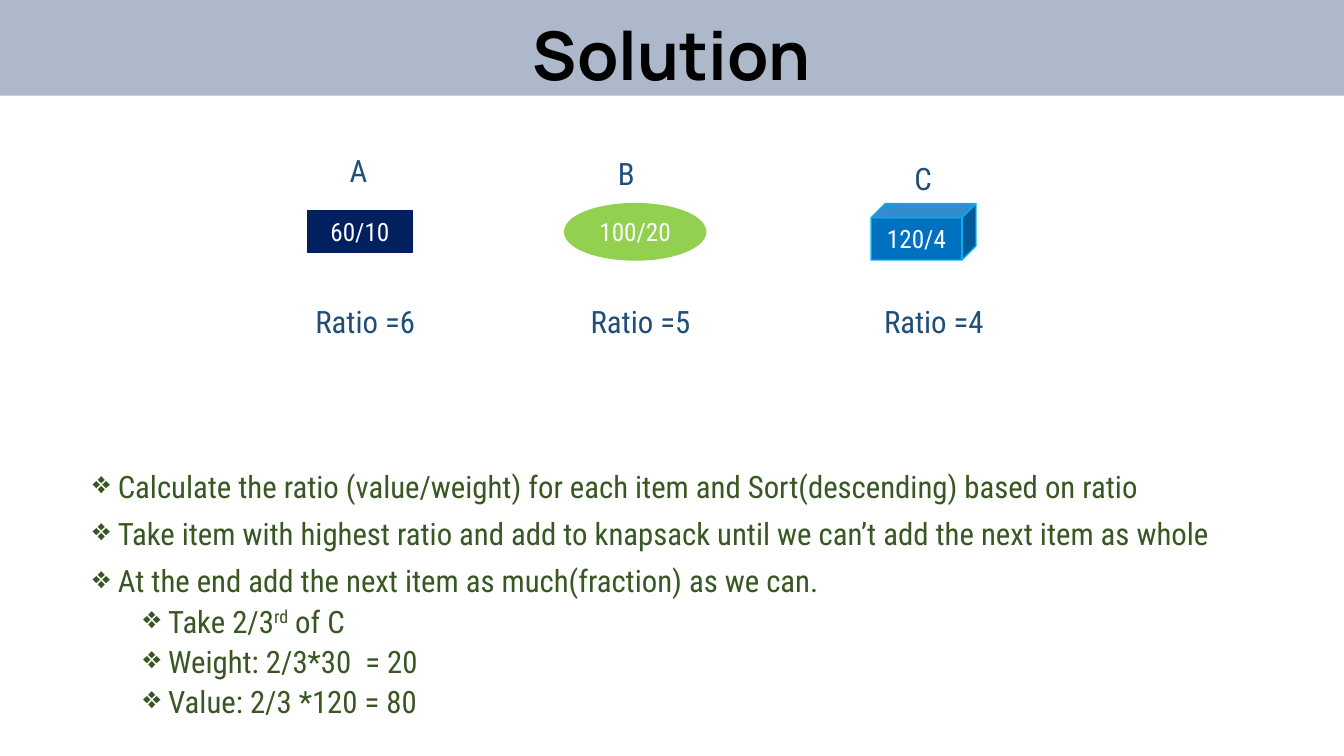
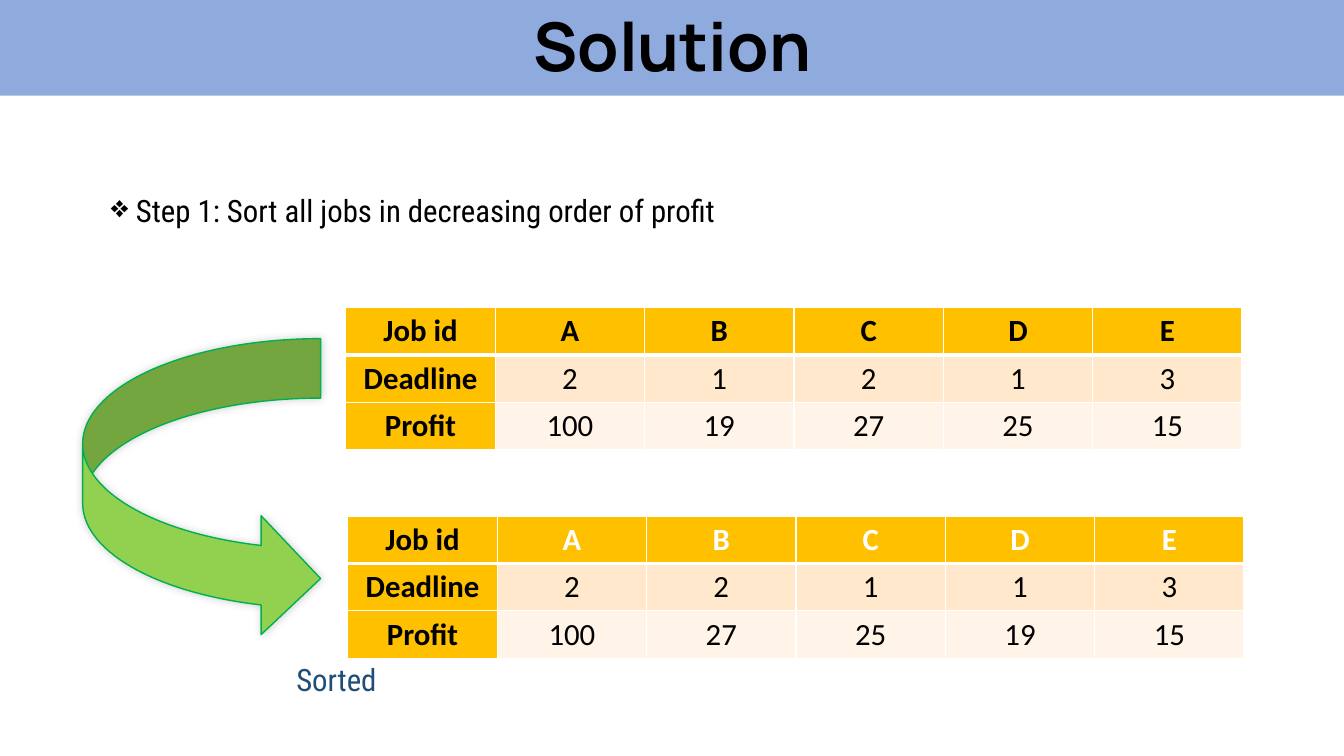
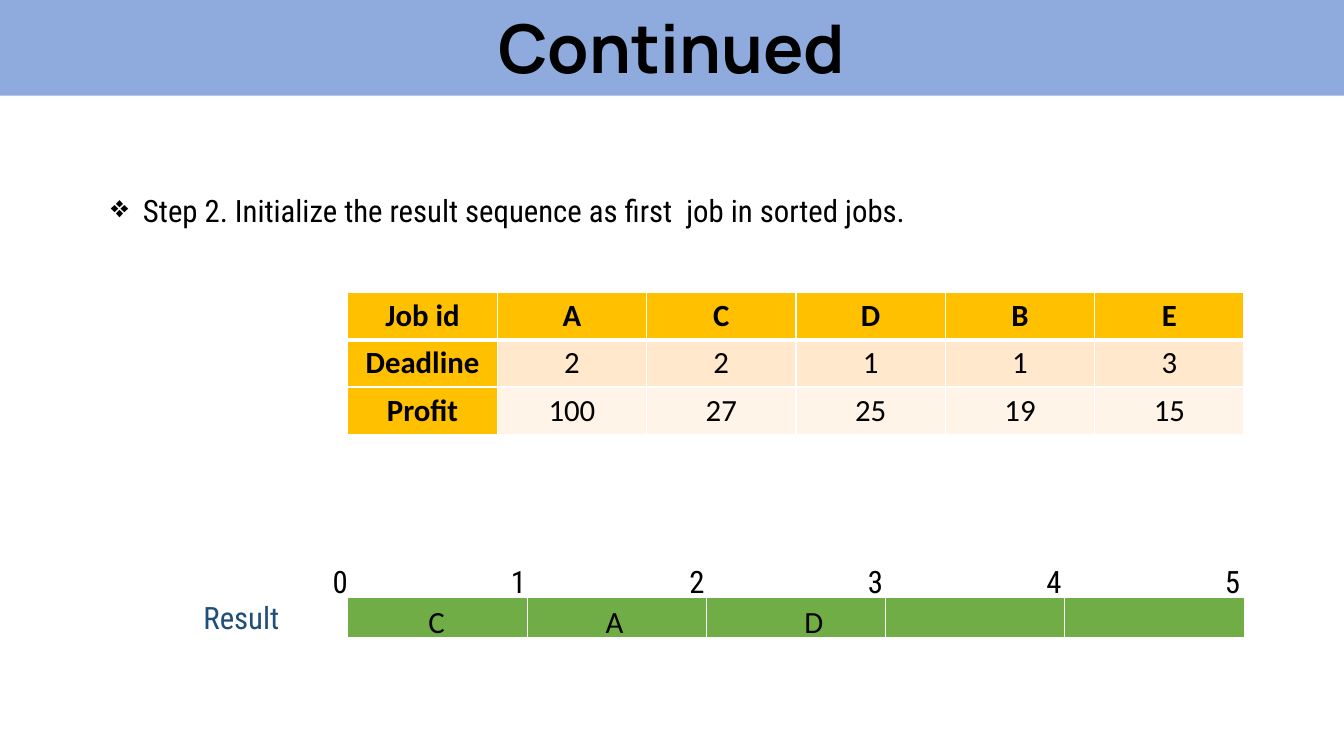
from lxml import etree
from pptx import Presentation
from pptx import util as u
from pptx.dml import color
from pptx.enum import shapes, text
from pptx.oxml import ns

PX = 9144
BAND = (0, -3, 1333, 98)
NAVY_TEXT, DARK_GREEN, BLACK, WHITE = "1F4E79", "385723", "000000", "FFFFFF"
GOLD, PEACH, CREAM, GREEN = "FFC000", "FFE8CC", "FFF4E7", "70AD47"
TITLE = {"name": "Manrope", "size": 48, "bold": True, "color": BLACK}
BODY = {"name": "Roboto Condensed", "size": 22, "bold": False, "color": BLACK}
LABEL = {**BODY, "color": NAVY_TEXT}
BADGE = {**BODY, "size": 18, "color": WHITE}
CELL = {**BODY, "name": "Calibri"}
HEAD = {**CELL, "bold": True}
CENTER = {"alignment": text.PP_ALIGN.CENTER}
TIGHT = {"line_spacing": 0.9}


def rgb(value):
    return color.RGBColor.from_string(value)


def box(*lengths):
    return [u.Emu(length * PX) for length in lengths]


def set_all(target, values):
    for name, value in values.items():
        setattr(target, name, value)


def style_font(font, values):
    for name, value in values.items():
        if name == "color":
            font.color.rgb = rgb(value)
        else:
            setattr(font, name, u.Pt(value) if name == "size" else value)


def add_child(parent, tag, **attributes):
    child = etree.SubElement(parent, ns.qn(tag))
    for name, value in attributes.items():
        child.set(name, str(value))
    return child


def write(paragraph, content, font, layout):
    set_all(paragraph, layout)
    run = paragraph.add_run()
    run.text = content
    style_font(run.font, font)
    return run


def add_text(slide, at, content, font, layout=None):
    frame = slide.shapes.add_textbox(*box(*at)).text_frame
    frame.word_wrap = True
    write(frame.paragraphs[0], content, font, layout or {})


def add_shape(slide, kind, at, fill, line=None):
    shape = slide.shapes.add_shape(kind, *box(*at))
    shape.shadow.inherit = False
    shape.fill.solid()
    shape.fill.fore_color.rgb = rgb(fill)
    if line:
        shape.line.color.rgb = rgb(line)
        shape.line.width = u.Pt(1)
    else:
        shape.line.fill.background()
    return shape


def add_titled_slide(presentation, title, fill, at, anchor, layout):
    slide = presentation.slides.add_slide(presentation.slide_layouts[5])
    band = add_shape(slide, shapes.MSO_SHAPE.RECTANGLE, BAND, fill)
    slide.shapes.title._element.addprevious(band._element)
    placeholder = slide.shapes.title
    set_all(placeholder, dict(zip(("left", "top", "width", "height"), box(*at))))
    frame = placeholder.text_frame
    set_all(frame, {"auto_size": text.MSO_AUTO_SIZE.NONE, "vertical_anchor": anchor, "word_wrap": True})
    write(frame.paragraphs[0], title, TITLE, {**CENTER, **layout})
    return slide


def add_bullets(slide, at, items, font):
    frame = slide.shapes.add_textbox(*box(*at)).text_frame
    frame.word_wrap = True
    for index, (level, pieces) in enumerate(items):
        paragraph = frame.add_paragraph() if index else frame.paragraphs[0]
        layout = {**TIGHT, "level": level, "space_before": u.Pt(5 if level else 10)}
        for position, piece in enumerate(pieces):
            run = write(paragraph, piece, font, layout)
            if position % 2:
                run._r.get_or_add_rPr().set("baseline", "30000")
        properties = paragraph._p.get_or_add_pPr()
        properties.set("marL", str((25 + 50 * level) * PX))
        properties.set("indent", str(-25 * PX))
        add_child(properties, "a:buChar", char="❖")


def style_cell(cell, fill, top=1, bottom=1):
    properties = cell._tc.get_or_add_tcPr()
    for side, width in (("L", 1), ("R", 1), ("T", top), ("B", bottom)):
        line = add_child(properties, "a:ln" + side, w=u.Pt(width))
        add_child(add_child(line, "a:solidFill"), "a:srgbClr", val=WHITE)
    cell.fill.solid()
    cell.fill.fore_color.rgb = rgb(fill)


def add_grid(slide, at, rows, columns):
    table = slide.shapes.add_table(rows, columns, *box(*at)).table
    set_all(table, {"first_row": False, "horz_banding": False})
    return table


def add_job_table(slide, left, top, jobs, deadlines, profits, job_color=BLACK):
    rows = [["Job id", *jobs], ["Deadline", *deadlines], ["Profit", *profits]]
    table = add_grid(slide, (left, top, 889, 141), len(rows), len(rows[0]))
    for y, row in enumerate(rows):
        for x, value in enumerate(row):
            heading = y == 0 or x == 0
            fill = GOLD if heading else (PEACH, CREAM)[y - 1]
            cell = table.cell(y, x)
            style_cell(cell, fill, 3 if y == 1 else 1, 3 if y == 0 else 1)
            font = {**(HEAD if heading else CELL), "color": job_color if y == 0 and x else BLACK}
            write(cell.text_frame.paragraphs[0], str(value), font, CENTER)


def add_item(slide, kind, at, fill, line, value, name, name_at, ratio, ratio_left):
    shape = add_shape(slide, kind, at, fill, line)
    shape.text_frame.vertical_anchor = text.MSO_ANCHOR.MIDDLE
    write(shape.text_frame.paragraphs[0], value, BADGE, CENTER)
    add_text(slide, (*name_at, 47, 47), name, LABEL)
    add_text(slide, (ratio_left, 295, 140, 47), ratio, LABEL)


def add_glow(shape):
    effects = shape._element.spPr.find(ns.qn("a:effectLst"))
    shadow = add_child(effects, "a:outerShdw", blurRad=u.Pt(6), dist=0, dir=225 * 60000)
    add_child(add_child(shadow, "a:srgbClr", val=BLACK), "a:alpha", val=20000)


def build_knapsack(presentation):
    slide = add_titled_slide(presentation, "Solution", "ADB9CA", (0, 17, 1333, 64), text.MSO_ANCHOR.TOP, TIGHT)
    kinds = shapes.MSO_SHAPE
    add_item(slide, kinds.RECTANGLE, (305, 209, 104, 41), "002060", "002060",
             "60/10", "A", (337, 146), "Ratio =6", 303)
    add_item(slide, kinds.OVAL, (560, 202, 140, 56), "92D050", "92D050",
             "100/20", "B", (603, 149), "Ratio =5", 576)
    add_item(slide, kinds.CUBE, (864, 202, 104, 56), "0070C0", "00B0F0",
             "120/4", "C", (897, 154), "Ratio =4", 867)
    add_bullets(slide, (82, 463, 1132, 239), [
        (0, ["Calculate the ratio (value/weight) for each item and Sort(descending) based on ratio"]),
        (0, ["Take item with highest ratio and add to knapsack until we can’t add the next item as whole"]),
        (0, ["At the end add the next item as much(fraction) as we can."]),
        (1, ["Take 2/3", "rd", " of C"]),
        (1, ["Weight: 2/3*30  = 20"]),
        (1, ["Value: 2/3 *120 = 80"]),
    ], DARK_GREEN_BODY)


DARK_GREEN_BODY = {**BODY, "color": DARK_GREEN}


def build_sorting(presentation):
    slide = add_titled_slide(presentation, "Solution", "8FAADC", (101, 8, 1132, 106), text.MSO_ANCHOR.TOP, TIGHT)
    add_bullets(slide, (100, 189, 1132, 444),
                [(0, ["Step 1: Sort all jobs in decreasing order of profit"])], BODY)
    add_job_table(slide, 343, 305, "ABCDE", (2, 1, 2, 1, 3), (100, 19, 27, 25, 15))
    add_job_table(slide, 345, 512, "ABCDE", (2, 2, 1, 1, 3), (100, 27, 25, 19, 15), WHITE)
    arrow = add_shape(slide, shapes.MSO_SHAPE.CURVED_RIGHT_ARROW, (82, 336, 236, 297), "92D050", "00B050")
    add_glow(arrow)
    add_text(slide, (284, 651, 118, 47), "Sorted", LABEL)


def build_result(presentation):
    slide = add_titled_slide(presentation, "Continued", "8FAADC", BAND, text.MSO_ANCHOR.MIDDLE, {"line_spacing": 1.0})
    add_text(slide, (192, 593, 103, 40), "Result", LABEL, TIGHT)
    add_bullets(slide, (100, 189, 1132, 444),
                [(0, [" Step 2. Initialize the result sequence as first  job in sorted jobs."])], BODY)
    add_job_table(slide, 345, 290, "ACDBE", (2, 2, 1, 1, 3), (100, 27, 25, 19, 15))
    slots = add_grid(slide, (345, 593, 889, 41), 1, 5)
    for cell in slots.iter_cells():
        style_cell(cell, GREEN, bottom=3)
    for tick in range(6):
        add_text(slide, (320 + 177 * tick, 553, 60, 47), str(tick), BODY)
    for job, left in (("C", 415), ("A", 591), ("D", 788)):
        add_text(slide, (left, 593, 40, 47), job, CELL)


def main():
    presentation = Presentation()
    set_all(presentation, dict(zip(("slide_width", "slide_height"), box(1333, 750))))
    for build in (build_knapsack, build_sorting, build_result):
        build(presentation)
    presentation.save("out.pptx")


if __name__ == "__main__":
    main()
